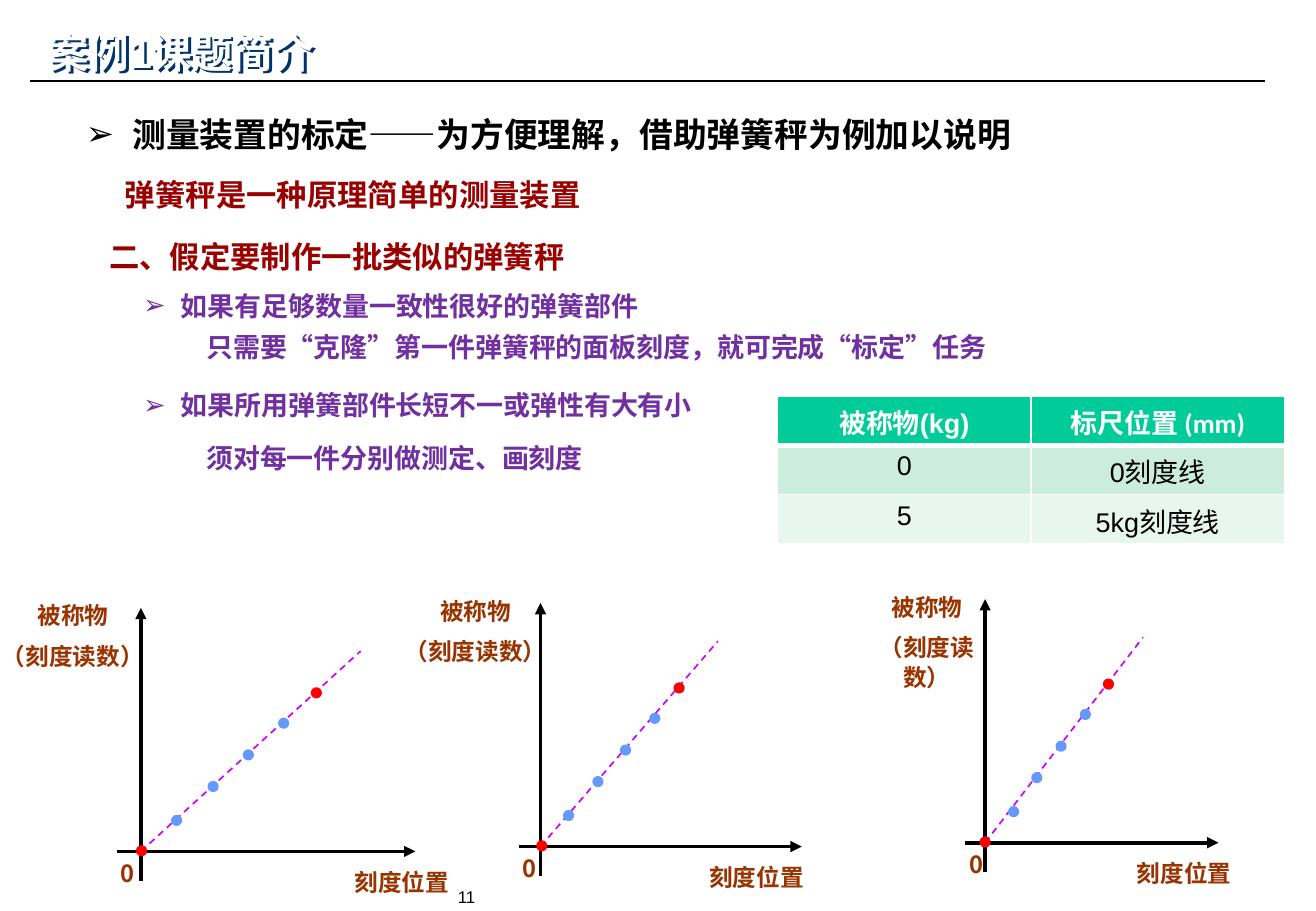
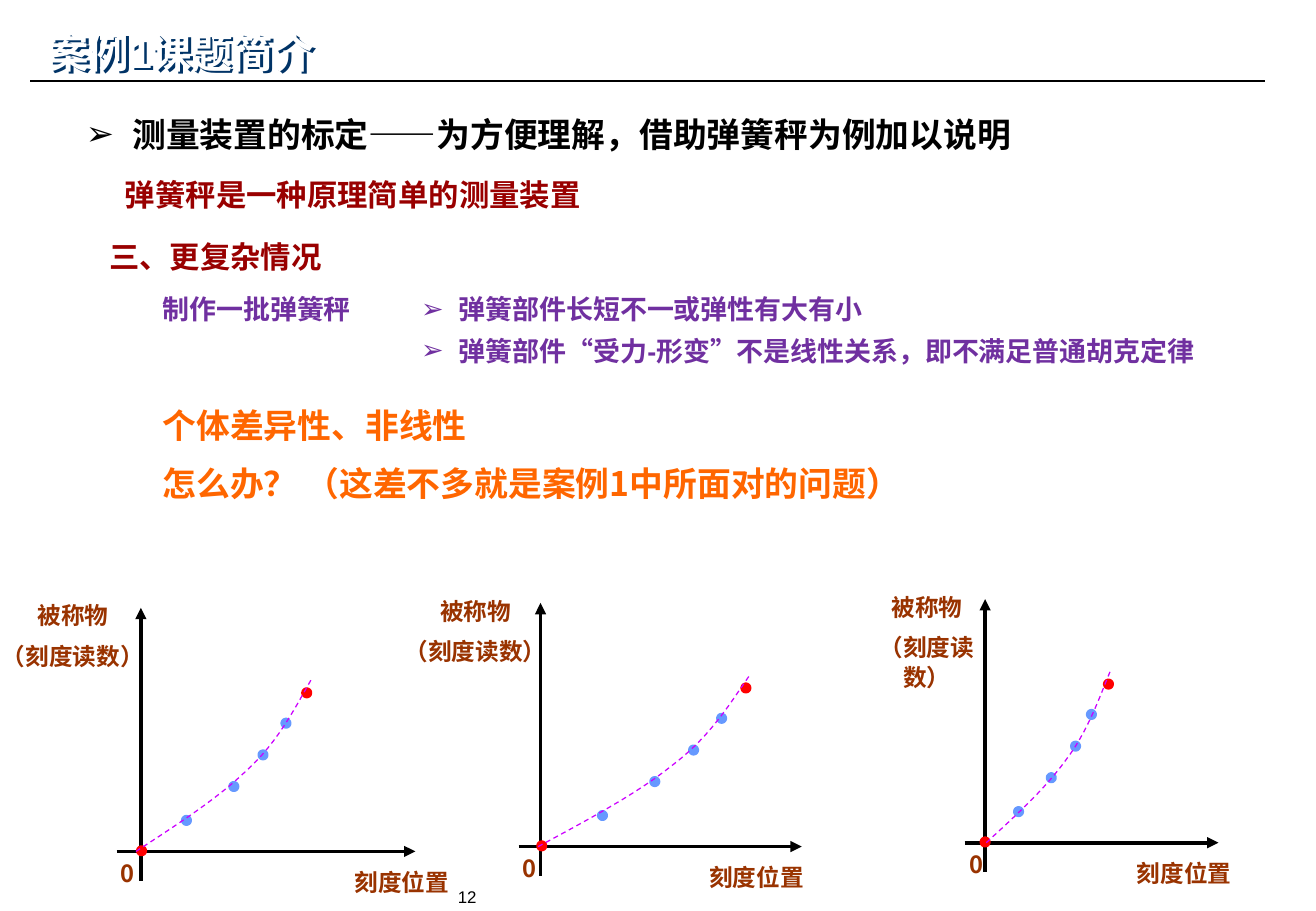
"""Build two slides on calibrating spring scales, each with three graphs."""
from dataclasses import dataclass

from lxml import etree
from pptx import Presentation
from pptx.dml import color as dml_color
from pptx.enum import dml, shapes, text
from pptx.oxml import ns
from pptx.util import Pt


@dataclass(frozen=True)
class Theme:
    """Colours, fonts and type sizes of the deck."""

    black: str = "000000"
    white: str = "FFFFFF"
    navy: str = "003366"
    dark_red: str = "990000"
    purple: str = "7030A0"
    orange: str = "FF6600"
    brown: str = "993300"
    red: str = "FF0000"
    blue: str = "6699FF"
    magenta: str = "CC00FF"
    rows: tuple = ("00CC99", "CCECDE", "E7F6EF")
    latin: str = "Arial"
    chinese: str = "Noto Sans CJK SC"
    unit: str = "Calibri"
    title: int = 24
    heading: int = 20
    subheading: int = 18
    body: int = 16
    label: int = 14
    number: int = 10
    leading: float = 1.26
    gap: float = 0.45


@dataclass(frozen=True)
class Axes:
    """Place of one graph: origin, horizontal reach and label boxes."""

    x: float
    y: float
    left: float
    right: float
    x_label: tuple
    y_label: tuple
    zero: tuple


THEME = Theme()
AXES = (
    Axes(83.5, 504.7, 69.1, 246.2, (203, 76.3), (-12.2, 110.9), (64.1, 27.4)),
    Axes(320.4, 501.8, 307.4, 475.2, (413.3, 92.9), (229.7, 104.4), (302.4, 25.9)),
    Axes(583.9, 499.5, 571.7, 722.2, (666.7, 83.5), (502.6, 93.6), (567.4, 23)),
)
DOT_RISES = (0.4, 18.4, 38.5, 57.2, 76, 94)
LINEAR_DOTS = (
    (0.4, 21.2, 42.8, 63.7, 84.6, 104),
    (0.7, 16.6, 34, 50.4, 67.7, 82.1),
    (0, 16.9, 30.6, 45, 59.4, 73.1),
)
LINEAR_ENDS = ((130.3, 118.8), (105.1, 121.7), (93.6, 121.7))
CURVED_DOTS = (
    (0.4, 27, 55.1, 72.4, 86, 98.3),
    (0.7, 36.7, 67.7, 90.7, 107.3, 121.7),
    (0, 19.8, 39.2, 53.6, 63, 73.1),
)
CURVED_SPANS = ((-2.9, 103.7), (-1.4, 125.3), (0.7, 73.4))
CURVE_HEIGHT = 101.5
CURVE_PARTS = (
    ((0, 0), (0.24, 0.16), (0.47, 0.31), (0.64, 0.48)),
    ((0.64, 0.48), (0.81, 0.64), (0.9, 0.82), (1, 1)),
)


def rgb(value):
    """Return a colour object for a hex string."""
    return dml_color.RGBColor.from_string(value)


def add_element(parent, tag, **attributes):
    """Append a DrawingML element and return it."""
    return etree.SubElement(parent, ns.qn("a:" + tag), attributes)


def style_run(run, size, color, bold=True, latin=THEME.chinese):
    """Give a run its fonts, size, weight and colour."""
    font = run.font
    font.name, font.size, font.bold = latin, Pt(size), bold
    font.color.rgb = rgb(color)
    add_element(run._r.get_or_add_rPr(), "ea", typeface=THEME.chinese)


def add_bullet(paragraph, indent):
    """Give a paragraph an arrow bullet with a hanging indent."""
    properties = paragraph._p.get_or_add_pPr()
    properties.set("marL", str(Pt(indent)))
    properties.set("indent", str(-Pt(indent)))
    add_element(properties, "buFont", typeface=THEME.latin)
    add_element(properties, "buChar", char="➢")


def add_text(parent, box, content, size, color, bold=True, latin=THEME.chinese,
             bullet=None, align=text.PP_ALIGN.LEFT, inset=(7.2, 3.6)):
    """Add a wrapped text box; each line of the content is a paragraph."""
    shape = parent.add_textbox(*map(Pt, box))
    frame = shape.text_frame
    frame.word_wrap = True
    frame.margin_left = frame.margin_right = Pt(inset[0])
    frame.margin_top = frame.margin_bottom = Pt(inset[1])
    frame.text = content
    for index, paragraph in enumerate(frame.paragraphs):
        if bullet:
            add_bullet(paragraph, bullet)
        paragraph.alignment = align
        paragraph.line_spacing = Pt(size * THEME.leading)
        if index:
            paragraph.space_before = Pt(size * THEME.gap)
        for run in paragraph.runs:
            style_run(run, size, color, bold, latin)
    return shape


def add_body(slide, left, top, width, content, bullet=None):
    """Add a purple body line, with a bullet if an indent is given."""
    add_text(slide.shapes, (left, top, width, 26.6), content, THEME.body,
             THEME.purple, latin=THEME.latin, bullet=bullet)


def style_line(line, color, width, dashed=False):
    """Set colour, width and dash of a line."""
    line.color.rgb = rgb(color)
    line.width = Pt(width)
    if dashed:
        line.dash_style = dml.MSO_LINE.DASH


def add_line(parent, start, end, color, width, dashed=False, arrow=False):
    """Add a straight connector, with an arrowhead at its end if asked."""
    connector = parent.add_connector(
        shapes.MSO_CONNECTOR.STRAIGHT, *map(Pt, (*start, *end)))
    style_line(connector.line, color, width, dashed)
    if arrow:
        add_element(connector.line._get_or_add_ln(), "tailEnd", type="triangle")
    add_element(connector._element.spPr, "effectLst")


def add_dot(parent, x, y, color):
    """Add a small round data point centred on x, y."""
    size = 3.6
    dot = parent.add_shape(shapes.MSO_SHAPE.OVAL, Pt(x - size / 2),
                           Pt(y - size / 2), Pt(size), Pt(size))
    dot.shadow.inherit = False
    dot.fill.solid()
    dot.fill.fore_color.rgb = rgb(color)
    style_line(dot.line, color, 3)


def bezier(points, t):
    """Return the point at t on a cubic curve."""
    weights = ((1 - t) ** 3, 3 * t * (1 - t) ** 2, 3 * t * t * (1 - t), t ** 3)
    return tuple(sum(w * p[axis] for w, p in zip(weights, points))
                 for axis in (0, 1))


def add_curve(parent, left, bottom, width):
    """Add the dashed rising curve, scaled to a width."""
    steps = 12
    samples = [bezier(part, step / steps)
               for part in CURVE_PARTS for step in range(1, steps + 1)]
    builder = parent.build_freeform(Pt(left), Pt(bottom))
    builder.add_line_segments(
        [(Pt(left + x * width), Pt(bottom - y * CURVE_HEIGHT)) for x, y in samples],
        close=False)
    curve = builder.convert_to_shape()
    curve.shadow.inherit = False
    curve.fill.background()
    style_line(curve.line, THEME.magenta, 0.75, dashed=True)


def add_axes(parent, axes):
    """Add both axes with their labels."""
    add_line(parent, (axes.left, axes.y), (axes.right, axes.y),
             THEME.black, 2.25, arrow=True)
    add_line(parent, (axes.x, axes.y + 17.3), (axes.x, axes.y - 144.4),
             THEME.black, 2.25, arrow=True)
    labels = (
        (axes.x_label, 5.4, 24.5, "刻度位置", text.PP_ALIGN.LEFT),
        (axes.y_label, -152.6, 49.7, "被称物\n（刻度读数）", text.PP_ALIGN.CENTER),
        (axes.zero, 0, 24.5, "0", text.PP_ALIGN.LEFT),
    )
    for (left, width), offset, height, content, align in labels:
        add_text(parent, (left, axes.y + offset, width, height), content,
                 THEME.label, THEME.brown, align=align)


def add_dots(parent, axes, offsets):
    """Add the data points: red at both ends, blue between."""
    for index, (offset, rise) in enumerate(zip(offsets, DOT_RISES)):
        end = index in (0, len(DOT_RISES) - 1)
        add_dot(parent, axes.x + offset, axes.y - rise,
                THEME.red if end else THEME.blue)


def add_linear_graphs(slide):
    """Add the three graphs with a straight relation."""
    for axes, offsets, (run, rise) in zip(AXES, LINEAR_DOTS, LINEAR_ENDS):
        group = slide.shapes.add_group_shape().shapes
        add_axes(group, axes)
        add_line(group, (axes.x, axes.y), (axes.x + run, axes.y - rise),
                 THEME.magenta, 1, dashed=True)
        add_dots(slide.shapes, axes, offsets)


def add_curved_graphs(slide):
    """Add the three graphs with a curved relation."""
    for axes, offsets, (shift, width) in zip(AXES, CURVED_DOTS, CURVED_SPANS):
        add_axes(slide.shapes.add_group_shape().shapes, axes)
        add_dots(slide.shapes, axes, offsets)
        add_curve(slide.shapes, axes.x + shift, axes.y, width)


def add_borders(cell, bottom):
    """Draw white borders round a table cell."""
    properties = cell._tc.get_or_add_tcPr()
    for side, width in (("L", 1), ("R", 1), ("T", 1), ("B", bottom)):
        line = add_element(properties, "ln" + side, w=str(Pt(width)))
        add_element(add_element(line, "solidFill"), "srgbClr", val=THEME.white)


def add_scale_table(slide):
    """Add the table of loads and scale positions."""
    rows = (("被称物(kg)", "标尺位置 "), ("0", "0刻度线"), ("5", "5kg刻度线"))
    table = slide.shapes.add_table(
        3, 2, Pt(460.8), Pt(234.7), Pt(300.6), Pt(87.9)).table
    for row, values in enumerate(rows):
        header = row == 0
        color = THEME.white if header else THEME.black
        for column, value in enumerate(values):
            cell = table.cell(row, column)
            add_borders(cell, 3 if header else 1)
            cell.fill.solid()
            cell.fill.fore_color.rgb = rgb(THEME.rows[row])
            cell.margin_bottom = Pt(1)
            cell.text_frame.text = value
            paragraph = cell.text_frame.paragraphs[0]
            paragraph.alignment = text.PP_ALIGN.CENTER
            style_run(paragraph.runs[0], THEME.body, color, header, THEME.latin)
    unit = table.cell(0, 1).text_frame.paragraphs[0].add_run()
    unit.text = "(mm)"
    style_run(unit, THEME.body, THEME.white, latin=THEME.unit)


def add_title(slide):
    """Add the white title with its navy shadow."""
    title = add_text(slide.shapes, (21.6, 12.2, 663, 36), "案例1课题简介",
                     THEME.title, THEME.white, latin=THEME.latin)
    title.text_frame.vertical_anchor = text.MSO_ANCHOR.MIDDLE
    effects = add_element(title._element.spPr, "effectLst")
    shadow = add_element(effects, "outerShdw", dist=str(Pt(2.2)), dir="2700000",
                         algn="ctr", rotWithShape="0")
    add_element(shadow, "srgbClr", val=THEME.navy)


def add_frame(presentation, number, section):
    """Add a slide with the shared rule, number, title and headings."""
    slide = presentation.slides.add_slide(presentation.slide_layouts[6])
    add_line(slide.shapes, (18, 48), (750, 48), THEME.black, 0.75)
    add_text(slide.shapes, (266.4, 522, 247, 18), number, THEME.number,
             THEME.black, bold=False, latin=THEME.latin, inset=(5, 2.9))
    add_title(slide)
    add_text(slide.shapes, (43.9, 65.5, 584, 25.9),
             "测量装置的标定——为方便理解，借助弹簧秤为例加以说明", THEME.heading,
             THEME.black, bullet=27.4, align=text.PP_ALIGN.JUSTIFY, inset=(7.2, 0.7))
    for left, top, width, content in (
            (67, 100, 345.6, "弹簧秤是一种原理简单的测量装置"),
            (57.6, 136.8, 418.3, section)):
        add_text(slide.shapes, (left, top, width, 28.8), content,
                 THEME.subheading, THEME.dark_red, latin=THEME.latin)
    return slide


def main():
    """Build and save the presentation."""
    presentation = Presentation()
    presentation.slide_width, presentation.slide_height = Pt(780), Pt(540)

    batch = add_frame(presentation, "11", "二、假定要制作一批类似的弹簧秤")
    add_body(batch, 77.8, 167, 418.3, "如果有足够数量一致性很好的弹簧部件", 22.3)
    add_body(batch, 115.2, 191.5, 555.8,
             "只需要“克隆”第一件弹簧秤的面板刻度，就可完成“标定”任务")
    add_body(batch, 77.8, 226, 424, "如果所用弹簧部件长短不一或弹性有大有小", 22.3)
    add_body(batch, 115.2, 257, 254.2, "须对每一件分别做测定、画刻度")
    add_scale_table(batch)
    add_linear_graphs(batch)

    complex_case = add_frame(presentation, "12", "三、更复杂情况")
    add_body(complex_case, 89.3, 169.2, 157, "制作一批弹簧秤")
    add_body(complex_case, 242.6, 169.2, 424, "弹簧部件长短不一或弹性有大有小", 22.3)
    add_body(complex_case, 242.6, 193.7, 479.5,
             "弹簧部件“受力-形变”不是线性关系，即不满足普通胡克定律", 22.3)
    add_text(complex_case.shapes, (89.3, 235.4, 473.8, 67.7),
             "个体差异性、非线性\n怎么办？ （这差不多就是案例1中所面对的问题）",
             THEME.heading, THEME.orange)
    add_curved_graphs(complex_case)

    presentation.save("out.pptx")


if __name__ == "__main__":
    main()
